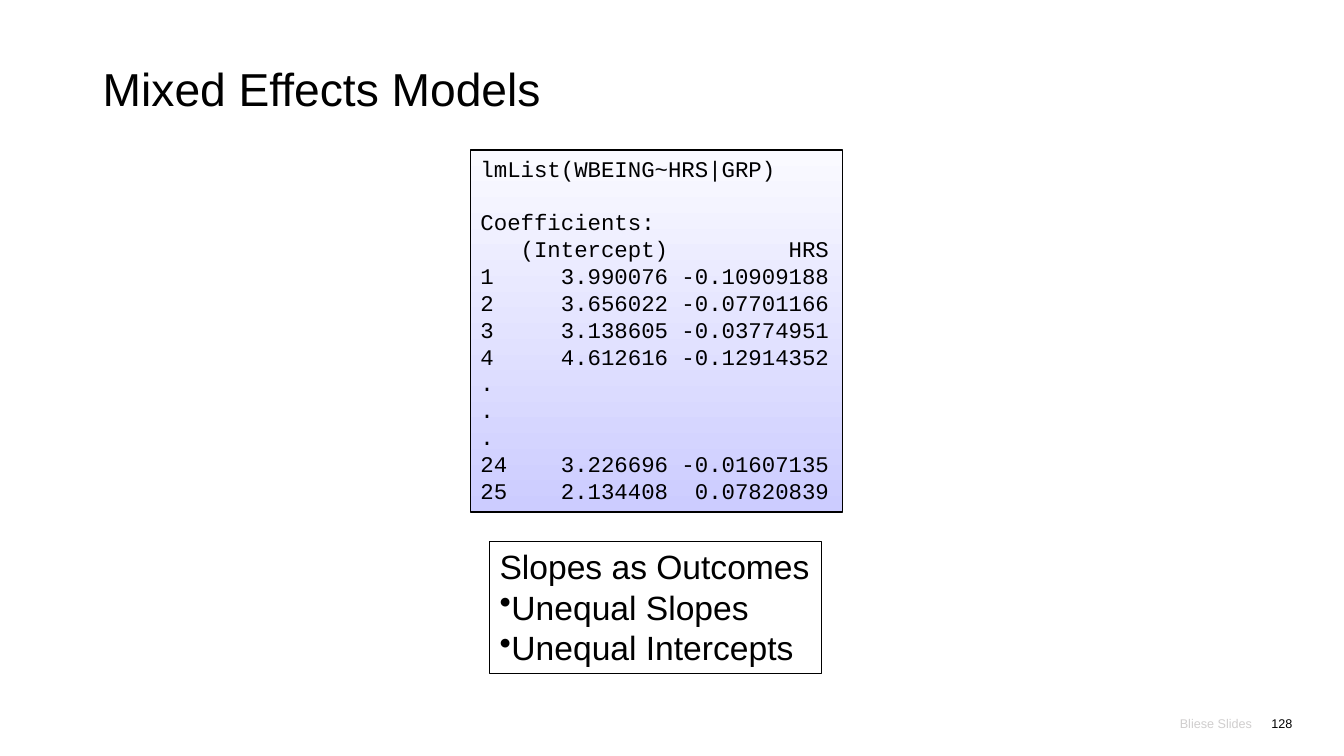
from pptx import Presentation
from pptx.dml.color import RGBColor
from pptx.enum import shapes, text
from pptx.oxml import parse_xml
from pptx.oxml.ns import nsdecls
from pptx.util import Cm, Pt

# Content
TITLE = "Mixed Effects Models"
FOOTER, PAGE_NUMBER = "Bliese Slides", "128"
CALL = ["lmList(WBEING~HRS|GRP)"]
COEFFICIENTS = [
    "Coefficients:",
    "   (Intercept)         HRS",
    "1     3.990076 -0.10909188",
    "2     3.656022 -0.07701166",
    "3     3.138605 -0.03774951",
    "4     4.612616 -0.12914352",
    ".",
    ".",
    ".",
    "24    3.226696 -0.01607135",
    "25    2.134408  0.07820839",
]
OUTCOMES_HEADING = ["Slopes as Outcomes"]
OUTCOMES = ["Unequal Slopes", "Unequal Intercepts"]


class Theme:
    ink, muted = RGBColor(0, 0, 0), RGBColor(0xD0, 0xCE, 0xCE)
    gradient = RGBColor(0xFA, 0xFA, 0xFF), RGBColor(0xCC, 0xCC, 0xFF)
    sans, mono = "Arial", "Courier New"
    title, body, code, footer = Pt(33), Pt(24), Pt(16), Pt(9)
    code_gap = Pt(19)
    border = Pt(1)


deck = Presentation()
deck.slide_width, deck.slide_height = Cm(33.87), Cm(19.05)
slide = deck.slides.add_slide(deck.slide_layouts[6])


def write(frame, lines, size, font=Theme.sans, color=Theme.ink,
          align=text.PP_ALIGN.LEFT, bullets_from=None):
    frame.text = "\n".join(lines)
    for index, paragraph in enumerate(frame.paragraphs):
        if bullets_from is not None and index >= bullets_from:
            paragraph._p.get_or_add_pPr().append(
                parse_xml(f'<a:buChar {nsdecls("a")} char="•"/>'))
        paragraph.alignment = align
        for run in paragraph.runs:
            run.font.size, run.font.name = size, font
            run.font.color.rgb = color


def add_label(place, line, size, **style):
    frame = slide.shapes.add_textbox(*map(Cm, place)).text_frame
    frame.word_wrap = True
    frame.vertical_anchor = text.MSO_ANCHOR.MIDDLE
    write(frame, [line], size, **style)
    return frame


def add_panel(place, lines, size, **style):
    panel = slide.shapes.add_shape(shapes.MSO_SHAPE.RECTANGLE, *map(Cm, place))
    panel.shadow.inherit = False
    panel.fill.background()
    panel.line.color.rgb, panel.line.width = Theme.ink, Theme.border
    frame = panel.text_frame
    frame.word_wrap = False
    frame.vertical_anchor = text.MSO_ANCHOR.TOP
    write(frame, lines, size, **style)
    return panel


# Footer and page number
footer_top, footer_height = 17.96, 0.53
footer = add_label((11.23, footer_top, 20.32, footer_height), FOOTER,
                   Theme.footer, color=Theme.muted, align=text.PP_ALIGN.RIGHT)
footer.margin_right = 0
add_label((31.55, footer_top, 1.27, footer_height), PAGE_NUMBER,
          Theme.footer, align=text.PP_ALIGN.RIGHT)

# Title
title = add_label((2.34, 0.69, 29.21, 3.23), TITLE, Theme.title)
title.paragraphs[0].line_spacing = 0.9

# Outcomes panel
add_panel((12.34, 13.64, 8.36, 3.33), OUTCOMES_HEADING + OUTCOMES,
          Theme.body, bullets_from=len(OUTCOMES_HEADING))

# Model output panel, with a one-line gap after the call
output = add_panel((11.86, 3.78, 9.37, 9.12), CALL + COEFFICIENTS,
                   Theme.code, font=Theme.mono)
output.text_frame.paragraphs[len(CALL)].space_before = Theme.code_gap
output.fill.gradient()
output.fill.gradient_angle = 270
for stop, color, position in zip(output.fill.gradient_stops, Theme.gradient, (0, 1)):
    stop.color.rgb, stop.position = color, position

deck.save("out.pptx")
